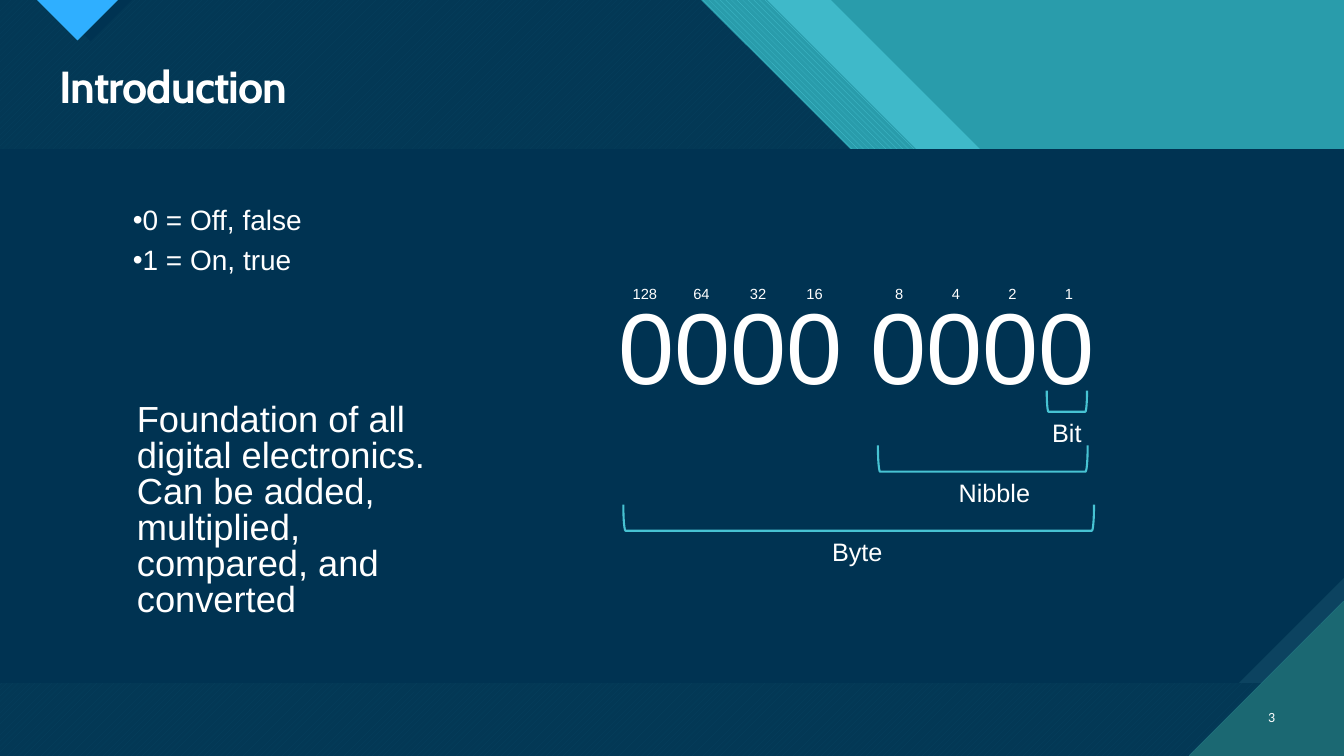
from pptx import Presentation
from pptx.dml.color import RGBColor
from pptx.enum.dml import MSO_PATTERN
from pptx.enum.shapes import MSO_SHAPE
from pptx.enum.text import MSO_ANCHOR, MSO_AUTO_SIZE, PP_ALIGN
from pptx.oxml.ns import qn
from pptx.util import Pt
from lxml.etree import SubElement

WIDTH, HEIGHT = 960, 540
HEADER, FOOTER = 106.6, 488.2
WHITE, NAVY, TEAL, AQUA, PINE = "FFFFFF", "003352", "299CAB", "47C3D3", "1B6872"


def colour(value):
    return RGBColor.from_string(value)


def polygon(page, points, fore, pattern=None, back=None):
    corners = [(Pt(x), Pt(y)) for x, y in points]
    builder = page.shapes.build_freeform(*corners[0])
    builder.add_line_segments(corners[1:], close=True)
    shape = builder.convert_to_shape()
    shape.shadow.inherit = False
    shape.line.fill.background()
    if pattern is None:
        shape.fill.solid()
    else:
        shape.fill.patterned()
        shape.fill.pattern = pattern
        shape.fill.back_color.rgb = colour(back)
    shape.fill.fore_color.rgb = colour(fore)


def add_span(para, text, size, font="Arial", bold=False):
    span = para.add_run()
    span.text = text
    span.font.size = Pt(size)
    span.font.name = font
    span.font.bold = bold
    span.font.color.rgb = colour(WHITE)
    return span


def text_box(page, box, lines, size, align=PP_ALIGN.LEFT, font="Arial",
             spacing=None, after=0, anchor=MSO_ANCHOR.TOP):
    frame = page.shapes.add_textbox(*map(Pt, box)).text_frame
    frame.word_wrap = True
    frame.vertical_anchor = anchor
    for index, line in enumerate(lines):
        para = frame.add_paragraph() if index else frame.paragraphs[0]
        para.alignment = align
        para.line_spacing = spacing
        para.space_after = Pt(after)
        add_span(para, line, size, font)
    return frame


def backdrop(page):
    page.background.fill.solid()
    page.background.fill.fore_color.rgb = colour(TEAL)

    def slanted(left, right):
        return [(left, 0), (right, 0), (right + HEADER, HEADER), (left + HEADER, HEADER)]

    polygon(page, slanted(547.8, 593.6), "3FB9C9")
    polygon(page, slanted(500.7, 547.8), AQUA, MSO_PATTERN.WIDE_DOWNWARD_DIAGONAL, TEAL)
    polygon(page, [(0, 0), (500.7, 0), (500.7 + HEADER, HEADER), (WIDTH, HEADER),
                   (WIDTH, HEIGHT), (0, HEIGHT)],
            "07415F", MSO_PATTERN.WIDE_UPWARD_DIAGONAL, "033855")
    polygon(page, [(34.6, 0), (94.3, 0), (64.8, 29.5)], NAVY)
    polygon(page, [(26.6, 0), (84.2, 0), (55.4, 28.8)],
            "2FAFFF", MSO_PATTERN.DARK_HORIZONTAL, PINE)
    polygon(page, [(0, HEADER), (WIDTH, HEADER), (WIDTH, FOOTER), (0, FOOTER)], NAVY)
    snip = 75.1
    polygon(page, [(WIDTH - snip, FOOTER), (WIDTH, FOOTER - snip), (WIDTH, FOOTER)],
            "0C4360", MSO_PATTERN.DARK_VERTICAL, PINE)
    corner = 110.9
    polygon(page, [(WIDTH - corner, HEIGHT), (WIDTH, HEIGHT), (WIDTH, HEIGHT - corner)],
            PINE, MSO_PATTERN.DARK_HORIZONTAL, AQUA)


def heading(page, box, text):
    title = page.shapes.title
    title.element.getparent().append(title.element)
    title.left, title.top, title.width, title.height = map(Pt, box)
    frame = title.text_frame
    frame.auto_size = MSO_AUTO_SIZE.NONE
    frame.vertical_anchor = MSO_ANCHOR.TOP
    para = frame.paragraphs[0]
    para.alignment = PP_ALIGN.LEFT
    para.line_spacing = 0.9
    span = add_span(para, text, 32, "Cabin", True)
    span._r.get_or_add_rPr().set("spc", "-70")


def bullet_list(page, box, lines):
    frame = text_box(page, box, lines, 20, spacing=0.9, after=7)
    for para in frame.paragraphs:
        properties = para._p.get_or_add_pPr()
        properties.set("marL", "0")
        properties.set("indent", str(-Pt(18)))
        SubElement(properties, qn("a:buFont")).set("typeface", "Arial")
        SubElement(properties, qn("a:buChar")).set("char", "•")


def bracket(page, left, top, width, depth, label, label_centre):
    shape = page.shapes.add_shape(
        MSO_SHAPE.LEFT_BRACKET, Pt(left + (width - depth) / 2),
        Pt(top + (depth - width) / 2), Pt(depth), Pt(width))
    shape.rotation = 270
    shape.shadow.inherit = False
    shape.fill.background()
    shape.line.color.rgb = colour(AQUA)
    shape.line.width = Pt(1.5)
    text_box(page, (label_centre - 40, top + depth + 0.3, 80, 29), [label], 18, PP_ALIGN.CENTER)


def byte_diagram(page, box):
    left, top, width, height = box
    text_box(page, (left, top, width, 94.3), ["0000 0000"], 72, PP_ALIGN.CENTER)
    pitch, nibble_gap = 40.4, 20.1
    for bit in range(8):
        centre = left + 71.9 + bit * pitch + bit // 4 * nibble_gap
        text_box(page, (centre - 18, top + 0.7, 36, 20.9), [str(2 ** (7 - bit))],
                 10.5, PP_ALIGN.CENTER)
    for label, x, y, span_width, depth, centre in (
            ("Bit", 358.9, 79.6, 28.8, 15.1, 373.3),
            ("Nibble", 238.3, 118.8, 149.8, 18.7, 321.5),
            ("Byte", 56.5, 161, 336.2, 18.7, 223.6)):
        bracket(page, left + x, top + y, span_width, depth, label, left + centre)


def introduction(deck):
    page = deck.slides.add_slide(deck.slide_layouts[5])
    backdrop(page)
    heading(page, (35.3, 42.5, 882.7, 42.5), "Introduction")
    text_box(page, (886.3, 497.5, 31.7, 28.8), ["3"], 10, PP_ALIGN.RIGHT,
             "Calibri", anchor=MSO_ANCHOR.MIDDLE)
    byte_diagram(page, (388.8, 199.4, 446.4, 208.8))
    bullet_list(page, (87.8, 144, 223.9, 101.5), ["0 = Off, false", "1 = On, true"])
    text_box(page, (90.7, 284.4, 239.8, 159.1),
             ["Foundation of all digital electronics. Can be added, multiplied, "
              "compared, and converted"], 25.9, spacing=0.83, after=6)


def main():
    deck = Presentation()
    deck.slide_width, deck.slide_height = Pt(WIDTH), Pt(HEIGHT)
    introduction(deck)
    deck.save("out.pptx")


if __name__ == "__main__":
    main()
